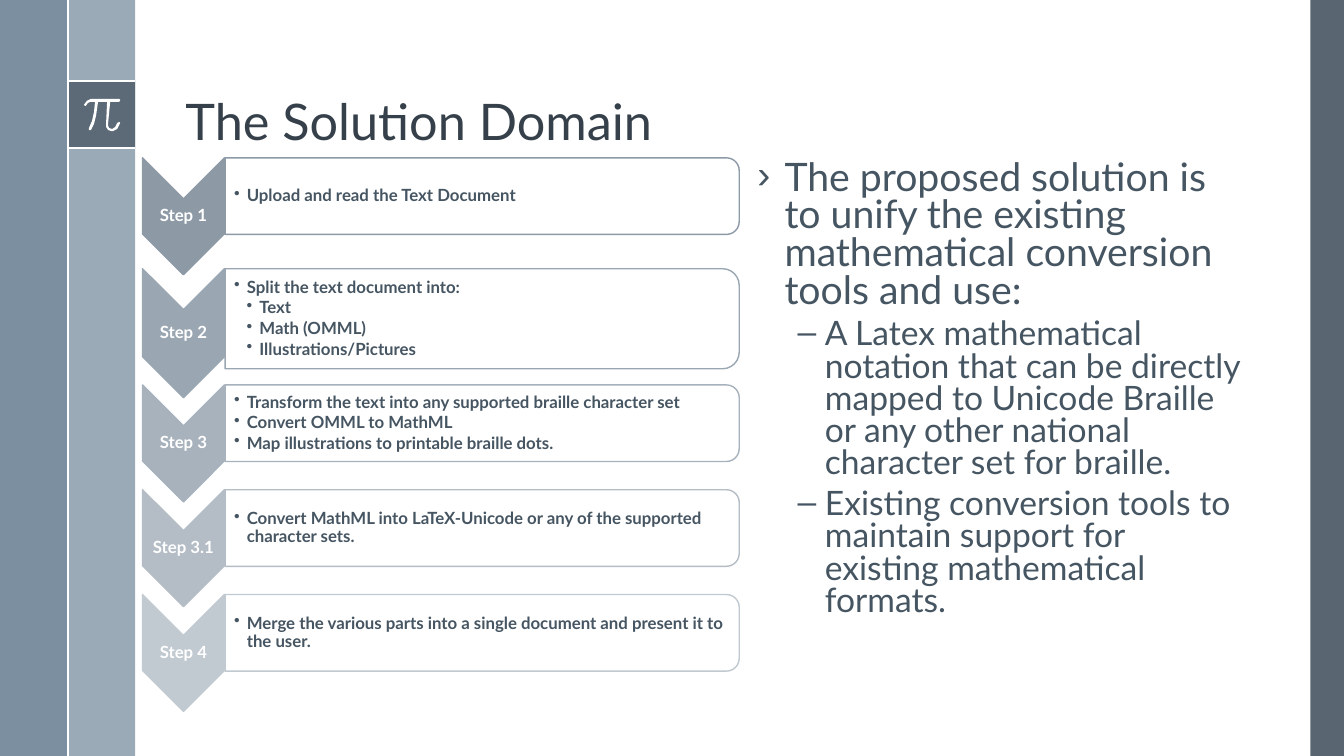
import dataclasses
import typing

import lxml.etree
import pptx
import pptx.dml.color
import pptx.enum.shapes
import pptx.enum.text
import pptx.oxml.ns
import pptx.util

SHAPE = pptx.enum.shapes.MSO_SHAPE
ALIGN = pptx.enum.text.PP_ALIGN
ANCHOR = pptx.enum.text.MSO_ANCHOR
WIDTH, HEIGHT = pptx.util.Inches(13.33), pptx.util.Inches(7.5)
COLS = 20


@dataclasses.dataclass(frozen=True)
class Theme:
    font: str = "Lato"
    white: str = "FFFFFF"
    dark: str = "475562"
    mid: str = "6A8093"
    light: str = "9BAAB7"
    head: str = "35404A"
    text: str = "465562"
    first: tuple[int, int, int] = (141, 154, 166)
    last: tuple[int, int, int] = (193, 201, 209)
    title: int = 36
    lead: int = 28
    point: int = 24
    small: int = 12
    rule: float = 1.5
    edge: float = 1


class Box(typing.NamedTuple):
    left: float
    top: float
    width: float
    height: float


class Band(typing.NamedTuple):
    box: Box
    color: str
    alpha: int = 100


class Line(typing.NamedTuple):
    text: str
    size: int
    left: float = 0
    mark: str = ""
    hang: float = 0
    space: float = 0.9
    before: float = 0
    after: float = 0


class Step(typing.NamedTuple):
    name: str
    top: float
    arrow: float
    panel: float
    lines: list[Line]


THEME = Theme()
BANDS = [
    Band(Box(19.5, 0, 0.5, 11.25), THEME.dark, 90),
    Band(Box(1.01, 0, 1, 11.25), THEME.light),
    Band(Box(0, 0, 1.01, 11.25), THEME.mid, 88),
    Band(Box(1.01, 1.21, 1, 1), THEME.dark, 75),
]
RULES = [(1.01, 1.21, 2.01, 1.21), (1.01, 2.2, 2.01, 2.2), (1.01, 0, 1.01, 11.25)]
PI = [
    (35, 0), (7, 0), (3, 2), (0, 6), (1, 7), (2, 7), (4, 4), (7, 3), (11, 3),
    (10, 13), (8, 22), (5, 29), (5, 31), (6, 31), (7, 31), (10, 25), (12, 17),
    (14, 3), (23, 3), (22, 24), (22, 28), (24, 31), (27, 32), (29, 32),
    (33, 30), (36, 24), (35, 23), (33, 24), (31, 28), (28, 30), (25, 29),
    (24, 27), (24, 24), (26, 3), (35, 3), (36, 2), (36, 1),
]


def item(text: str, depth: int = 1) -> Line:
    return Line(text, THEME.small, 0.125 * depth, "•", 0.125, after=1.8)


def point(text: str) -> Line:
    return Line(text, THEME.point, 0.67, "–", 0.27, 0.8, 6)


STEPS = [
    Step("Step 1", 2.35, 1.74, 1.14, [item("Upload and read the Text Document")]),
    Step("Step 2", 4, 1.92, 1.49, [
        item("Split the text document into:"),
        item("Text", 2),
        item("Math (OMML)", 2),
        item("Illustrations/Pictures", 2),
    ]),
    Step("Step 3", 5.73, 1.74, 1.14, [
        item("Transform the text into any supported braille character set"),
        item("Convert OMML to MathML"),
        item("Map illustrations to printable braille dots."),
    ]),
    Step("Step 3.1", 7.29, 1.74, 1.14, [
        item("Convert MathML into LaTeX-Unicode or any of the supported character sets."),
    ]),
    Step("Step 4", 8.85, 1.74, 1.14, [
        item("Merge the various parts into a single document and present it to the user."),
    ]),
]
BODY = [
    Line("The proposed solution is to unify the existing mathematical conversion "
         "tools and use:", THEME.lead, 0.27, "›", 0.27, 0.8, 14),
    point("A Latex mathematical notation that can be directly mapped to Unicode "
          "Braille or any other national character set for braille."),
    point("Existing conversion tools to maintain support for existing "
          "mathematical formats."),
]


def grid(count: float) -> int:
    return round(WIDTH * count / COLS)


def shade(color: str) -> pptx.dml.color.RGBColor:
    return pptx.dml.color.RGBColor.from_string(color)


def add(node, tag: str, **attrs: str):
    return lxml.etree.SubElement(node, pptx.oxml.ns.qn(tag), attrs)


def place(shape, box: Box) -> None:
    shape.left, shape.top, shape.width, shape.height = map(grid, box)


def paint(shape, fill: str, alpha: int = 100, edge: str = "") -> None:
    shape.shadow.inherit = False
    shape.fill.solid()
    shape.fill.fore_color.rgb = shade(fill)
    if alpha < 100:
        color = shape.fill._xPr.find(".//" + pptx.oxml.ns.qn("a:srgbClr"))
        add(color, "a:alpha", val=str(alpha * 1000))
    if edge:
        shape.line.color.rgb = shade(edge)
        shape.line.width = pptx.util.Pt(THEME.edge)
    else:
        shape.line.fill.background()


def write(frame, lines: list[Line], color: str, bold: bool = False,
          align=ALIGN.LEFT, anchor=ANCHOR.MIDDLE) -> None:
    frame.word_wrap = True
    frame.auto_size = pptx.enum.text.MSO_AUTO_SIZE.NONE
    frame.vertical_anchor = anchor
    frame.text = "\n".join(line.text for line in lines)
    for para, line in zip(frame.paragraphs, lines):
        para.alignment = align
        para.line_spacing = line.space
        para.space_before = pptx.util.Pt(line.before)
        para.space_after = pptx.util.Pt(line.after)
        if line.mark:
            props = para._p.get_or_add_pPr()
            props.set("marL", str(pptx.util.Inches(line.left)))
            props.set("indent", str(-pptx.util.Inches(line.hang)))
            add(props, "a:buChar", char=line.mark)
        for run in para.runs:
            run.font.name = THEME.font
            run.font.size = pptx.util.Pt(line.size)
            run.font.bold = bold
            run.font.color.rgb = shade(color)


def label(slide, box: Box, lines: list[Line], color: str, align, inset: float) -> None:
    frame = slide.shapes.add_textbox(*map(grid, box)).text_frame
    frame.margin_left = pptx.util.Inches(inset)
    frame.margin_right = frame.margin_top = frame.margin_bottom = pptx.util.Inches(0.01)
    write(frame, lines, color, True, align)


def turned(slide, kind, box: Box):
    left = box.left + (box.width - box.height) / 2
    top = box.top + (box.height - box.width) / 2
    shape = slide.shapes.add_shape(kind, *map(grid, (left, top, box.height, box.width)))
    shape.rotation = 90
    return shape


def draw_step(slide, step: Step, color: str) -> None:
    arrow = Box(2.12, step.top, 1.22, step.arrow)
    panel = Box(3.35, step.top, 7.65, step.panel)
    paint(turned(slide, SHAPE.CHEVRON, arrow), color, edge=color)
    label(slide, Box(arrow.left, step.top + arrow.width / 2, arrow.width,
                     step.arrow - arrow.width),
          [Line(step.name, THEME.small)], THEME.white, ALIGN.CENTER, 0.01)
    paint(turned(slide, SHAPE.ROUND_2_SAME_RECTANGLE, panel), THEME.white, 90, color)
    label(slide, Box(panel.left, step.top + 0.06, panel.width - 0.05, step.panel - 0.12),
          step.lines, THEME.text, ALIGN.LEFT, 0.09)


def draw_side(slide) -> None:
    for band in BANDS:
        shape = slide.shapes.add_shape(SHAPE.RECTANGLE, *map(grid, band.box))
        paint(shape, band.color, band.alpha)
    for ends in RULES:
        rule = slide.shapes.add_connector(
            pptx.enum.shapes.MSO_CONNECTOR.STRAIGHT, *map(grid, ends))
        rule.line.color.rgb = shade(THEME.white)
        rule.line.width = pptx.util.Pt(THEME.rule)
        add(rule._element.spPr, "a:effectLst")
    pen = slide.shapes.build_freeform(*PI[0], scale=pptx.util.Inches(0.01))
    pen.add_line_segments(PI[1:])
    paint(pen.convert_to_shape(grid(1.25), grid(1.47)), THEME.white)


def main() -> None:
    deck = pptx.Presentation()
    deck.slide_width, deck.slide_height = WIDTH, HEIGHT
    slide = deck.slides.add_slide(deck.slide_layouts[1])
    draw_side(slide)
    title, body = slide.shapes.title, slide.placeholders[1]
    place(title, Box(2.61, 0.29, 16.05, 2.04))
    write(title.text_frame, [Line("The Solution Domain", THEME.title)],
          THEME.head, anchor=ANCHOR.BOTTOM)
    place(body, Box(11.12, 2.32, 7.55, 7.8))
    write(body.text_frame, BODY, THEME.text, anchor=ANCHOR.TOP)
    for para in body.text_frame.paragraphs[1:]:
        para.level = 1
    for rank, step in enumerate(STEPS):
        share = rank / (len(STEPS) - 1)
        tint = [round(a + (b - a) * share) for a, b in zip(THEME.first, THEME.last)]
        draw_step(slide, step, str(pptx.dml.color.RGBColor(*tint)))
    deck.save("out.pptx")


main()
